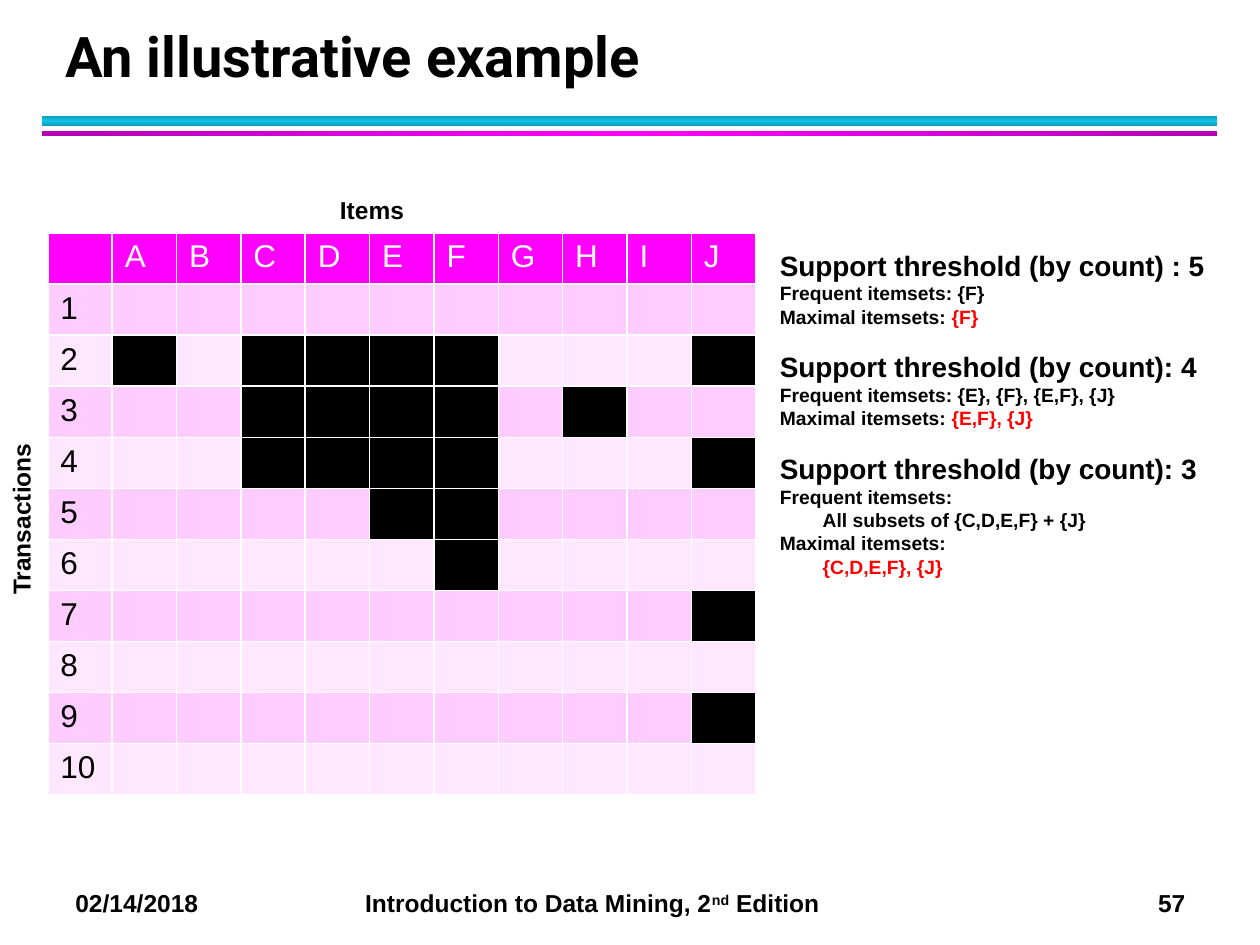
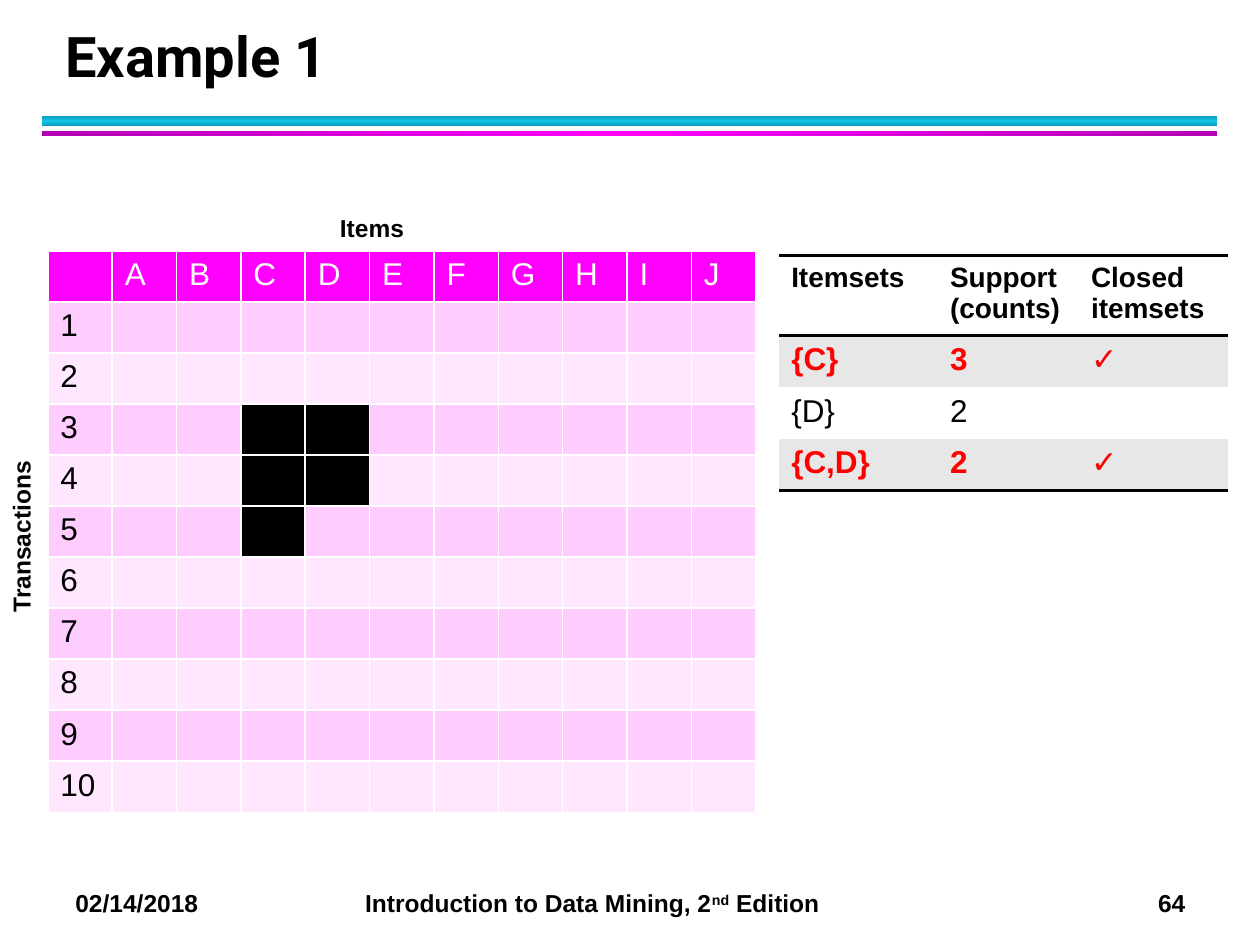
import copy

import pptx
import pptx.dml.color
import pptx.enum.shapes
import pptx.enum.text
import pptx.oxml
import pptx.oxml.ns
import pptx.util
from lxml import etree

Inches, Pt = pptx.util.Inches, pptx.util.Pt
RGBColor = pptx.dml.color.RGBColor
qn = pptx.oxml.ns.qn

BLACK = RGBColor(0x00, 0x00, 0x00)
WHITE = RGBColor(0xFF, 0xFF, 0xFF)
RED = RGBColor(0xFF, 0x00, 0x00)
MAGENTA = RGBColor(0xFF, 0x00, 0xFF)
MAGENTA_DARK = RGBColor(0xB2, 0x00, 0xB2)
CYAN = RGBColor(0x12, 0xC2, 0xE9)
CYAN_DARK = RGBColor(0x0E, 0x9B, 0xBA)
PINK = RGBColor(0xFF, 0xCC, 0xFF)
PINK_LIGHT = RGBColor(0xFF, 0xE7, 0xFF)
GREY = RGBColor(0xE7, 0xE7, 0xE7)

NO_STYLE = "{2D5ABB26-0587-4C30-8999-92F81FD0307C}"

# top, height, edge colour, middle colour, angle
BANDS = [
    (0.92, 0.08, CYAN_DARK, CYAN, 90),
    (1.04, 0.04, MAGENTA_DARK, MAGENTA, 0),
]
FOOTER_DATE = "02/14/2018"
FOOTER_TABS = [(2.3, "l"), (8.81, "r")]

ITEMS = "ABCDEFGHIJ"
TRANSACTION_COUNT = 10
GRID_LEFT, GRID_WIDTH, GRID_HEIGHT = 0.38, 5.62, 4.46

# Each slide's grid: items bought, by transaction number
ILLUSTRATION = {
    2: "ACDEFJ", 3: "CDEFH", 4: "CDEFJ", 5: "EF", 6: "F", 7: "J", 9: "J",
}
EXAMPLE_1 = {3: "CD", 4: "CD", 5: "C"}

# heading, then lines of (label, red part, indented)
THRESHOLDS = [
    ("Support threshold (by count) : 5", [
        ("Frequent itemsets: {F}", "", False),
        ("Maximal itemsets: ", "{F}", False),
    ]),
    ("Support threshold (by count): 4", [
        ("Frequent itemsets: {E}, {F}, {E,F}, {J}", "", False),
        ("Maximal itemsets: ", "{E,F}, {J}", False),
    ]),
    ("Support threshold (by count): 3", [
        ("Frequent itemsets:", "", False),
        ("All subsets of {C,D,E,F} + {J}", "", True),
        ("Maximal itemsets:", "", False),
        ("", "{C,D,E,F}, {J}", True),
    ]),
]

CLOSED_HEADER = ["Itemsets", "Support\n(counts)", "Closed itemsets"]
CLOSED_ROWS = [["{C}", "3", "✓"], ["{D}", "2", ""], ["{C,D}", "2", "✓"]]
CLOSED_COLS = [1.26, 1.12, 1.19]
CLOSED_HEIGHTS = [0.63, 0.41, 0.41, 0.41]


def add_run(p, text, size, color=BLACK, bold=True, name="Arial"):
    r = p.add_run()
    r.text = text
    for key, value in {"size": Pt(size), "bold": bold, "name": name}.items():
        setattr(r.font, key, value)
    r.font.color.rgb = color
    return r


def add_text_box(s, left, top, width, height, wrap=True):
    sp = s.shapes.add_textbox(*map(Inches, (left, top, width, height)))
    sp.text_frame.word_wrap = wrap
    return sp


def add_band(s, top, height, edge, middle, angle):
    sp = s.shapes.add_shape(pptx.enum.shapes.MSO_SHAPE.RECTANGLE,
                            *map(Inches, (0.33, top, 9.33, height)))
    sp.shadow.inherit = False
    sp.line.fill.background()
    sp.fill.gradient()
    sp.fill.gradient_angle = angle
    stops = sp.element.spPr.find(".//" + qn("a:gsLst"))
    stops.insert(1, copy.deepcopy(stops[0]))
    for stop, position, color in zip(sp.fill.gradient_stops, (0, 0.5, 1),
                                     (edge, middle, edge)):
        stop.position = position
        stop.color.rgb = color


def add_footer(s, number):
    p = add_text_box(s, 0.5, 7, 9.33, 0.34).text_frame.paragraphs[0]
    tabs = etree.SubElement(p._p.get_or_add_pPr(), qn("a:tabLst"))
    for position, align in FOOTER_TABS:
        etree.SubElement(tabs, qn("a:tab"), pos=str(Inches(position)), algn=align)
    add_run(p, f"{FOOTER_DATE}\tIntroduction to Data Mining, 2", 14)
    r = add_run(p, "nd", 14)
    r.font._element.set("baseline", "30000")
    add_run(p, f" Edition\t{number}", 14)


def add_slide(prs, title, number):
    """Add a blank slide with the shared bands, title and footer."""
    s = prs.slides.add_slide(prs.slide_layouts[6])
    for band in BANDS:
        add_band(s, *band)
    add_footer(s, number)
    tf = add_text_box(s, 0.42, 0.17, 9.06, 0.58).text_frame
    tf.vertical_anchor = pptx.enum.text.MSO_ANCHOR.BOTTOM
    p = tf.paragraphs[0]
    p.line_spacing = Pt(36)
    add_run(p, title, 32, name="Roboto")
    return s


def add_plain_table(s, left, top, widths, heights):
    """Add a table without any built-in style."""
    frame = s.shapes.add_table(
        len(heights), len(widths),
        *map(Inches, (left, top, sum(widths), sum(heights))))
    table = frame.table
    table.first_row = table.horz_banding = False
    table._tbl.tblPr.find(qn("a:tableStyleId")).text = NO_STYLE
    for column, width in zip(table.columns, widths):
        column.width = Inches(width)
    for row, height in zip(table.rows, heights):
        row.height = Inches(height)
    return table


def format_cell(cell, fill, sides, color, width):
    """Draw the borders of the given sides (in L, R, T, B order), then fill."""
    tcPr = cell._tc.get_or_add_tcPr()
    for side in sides:
        ln = etree.SubElement(tcPr, qn("a:ln" + side), w=str(Pt(width)))
        solid = etree.SubElement(ln, qn("a:solidFill"))
        etree.SubElement(solid, qn("a:srgbClr"), val=str(color))
    cell.fill.solid()
    cell.fill.fore_color.rgb = fill


def add_transaction_grid(s, top, bought):
    columns, rows = len(ITEMS) + 1, TRANSACTION_COUNT + 1
    table = add_plain_table(s, GRID_LEFT, top, [GRID_WIDTH / columns] * columns,
                            [GRID_HEIGHT / rows] * rows)
    for i in range(rows):
        band = PINK if i % 2 else PINK_LIGHT
        for j in range(columns):
            cell = table.cell(i, j)
            item = ITEMS[j - 1] if j else ""
            text, fill = "", band
            if i == 0:
                text, fill = item, MAGENTA
            elif j == 0:
                text = str(i)
            elif item in bought.get(i, ""):
                fill = BLACK
            format_cell(cell, fill, "LRTB", WHITE, 1)
            if text:
                add_run(cell.text_frame.paragraphs[0], text, 18,
                        BLACK if i else WHITE, bold=False)

    items = add_text_box(s, 2.6, top - 0.35, 0.77, 0.4, wrap=False)
    transactions = add_text_box(s, -0.54, top + 2.03, 1.48, 0.4, wrap=False)
    transactions.rotation = 270
    for sp, label in ((items, "Items"), (transactions, "Transactions")):
        add_run(sp.text_frame.paragraphs[0], label, 14)


def add_thresholds(s):
    tf = add_text_box(s, 6.09, 1.92, 3.62, 2.83, wrap=False).text_frame
    for k, (heading, lines) in enumerate(THRESHOLDS):
        p = tf.add_paragraph() if k else tf.paragraphs[0]
        if k:
            p.space_before = Pt(12.6)
        add_run(p, heading, 16)
        for label, answer, indented in lines:
            p = tf.add_paragraph()
            if indented:
                p._p.get_or_add_pPr().set("marL", str(Inches(0.34)))
            for text, color in ((label, BLACK), (answer, RED)):
                if text:
                    add_run(p, text, 11, color)


def add_closed_itemsets(s):
    table = add_plain_table(s, 6.18, 2.03, CLOSED_COLS, CLOSED_HEIGHTS)
    rows = [CLOSED_HEADER] + CLOSED_ROWS
    for i, row in enumerate(rows):
        closed = i > 0 and bool(row[-1])
        sides = {0: "TB", len(rows) - 1: "B"}.get(i, "")
        for j, text in enumerate(row):
            cell = table.cell(i, j)
            format_cell(cell, GREY if i % 2 else WHITE, sides, BLACK, 2)
            tf = cell.text_frame
            for k, line in enumerate(text.splitlines()):
                p = tf.add_paragraph() if k else tf.paragraphs[0]
                add_run(p, line, 18 if i else 16, RED if closed else BLACK,
                        bold=closed or i == 0)


def main():
    prs = pptx.Presentation()
    prs.slide_width, prs.slide_height = Inches(10), Inches(7.5)

    s = add_slide(prs, "An illustrative example", 57)
    add_transaction_grid(s, 1.85, ILLUSTRATION)
    add_thresholds(s)

    s = add_slide(prs, "Example 1", 64)
    add_transaction_grid(s, 1.99, EXAMPLE_1)
    add_closed_itemsets(s)

    prs.save("out.pptx")


if __name__ == "__main__":
    main()
